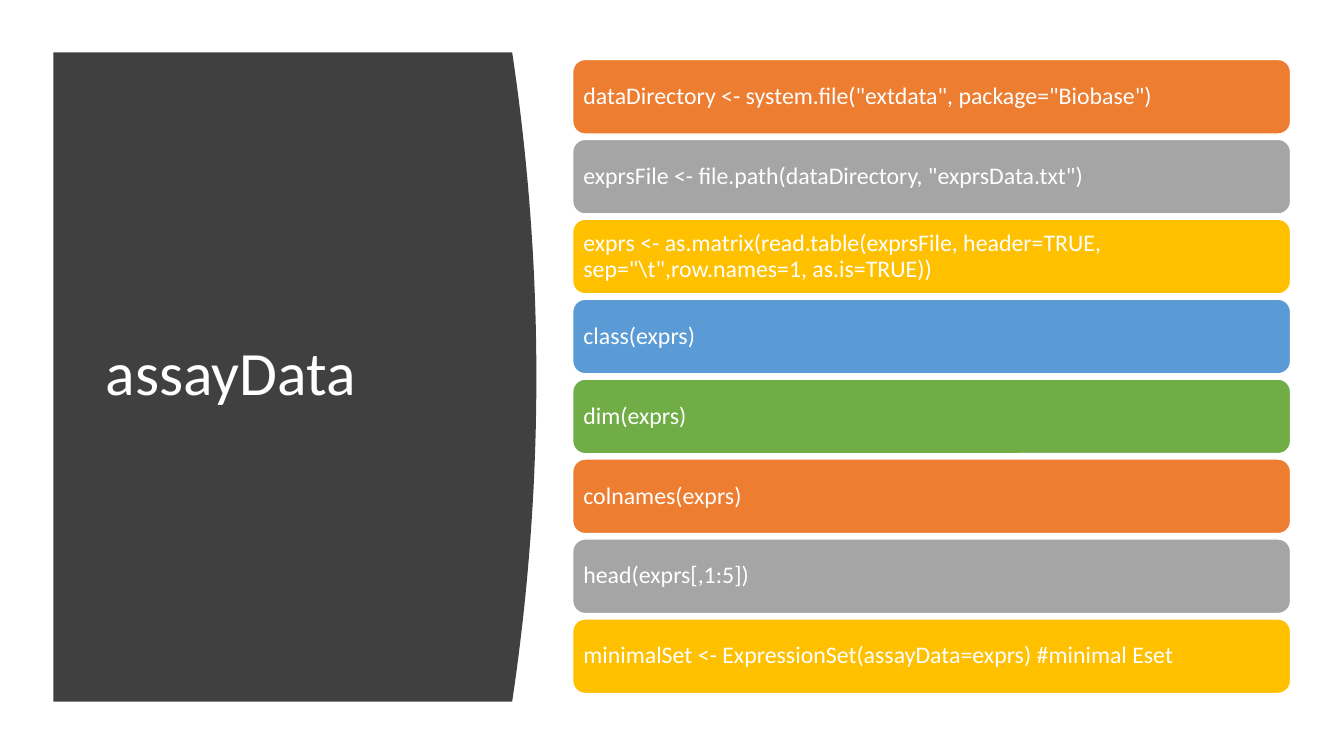
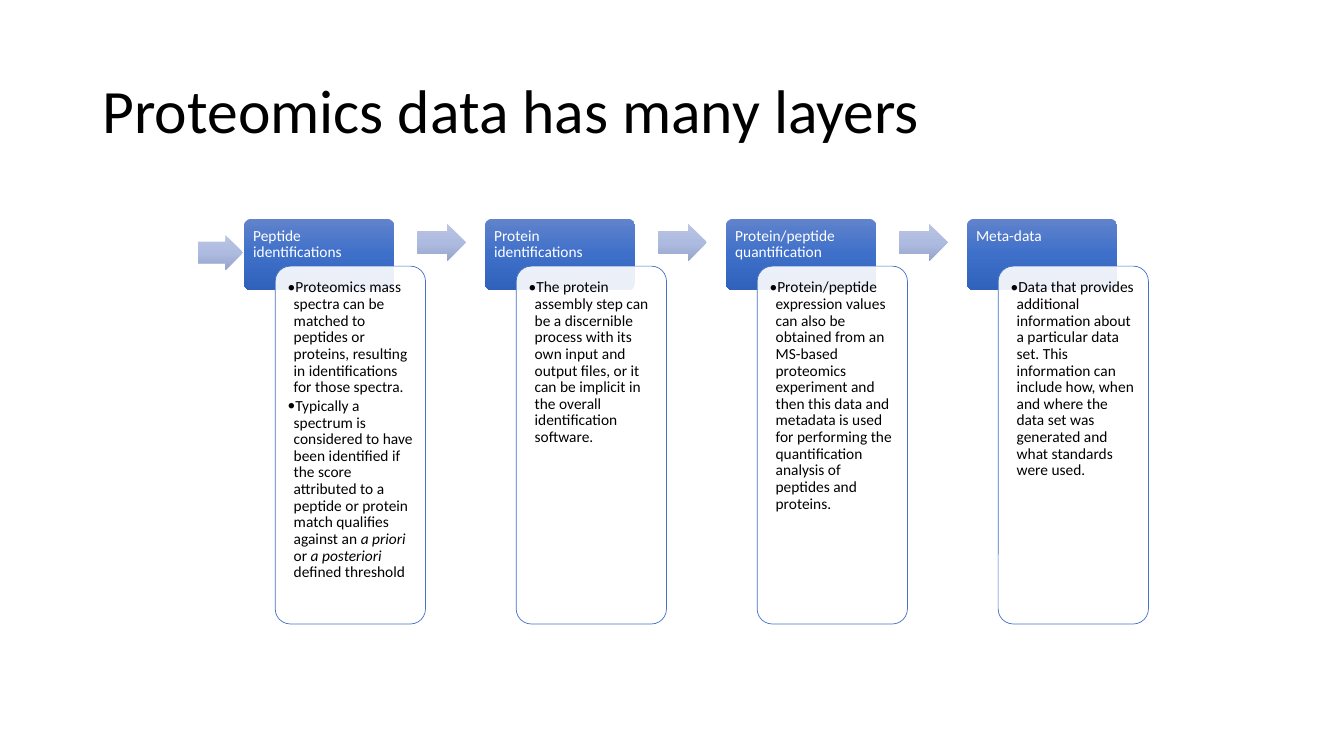
from dataclasses import dataclass
from copy import deepcopy

from lxml.etree import SubElement
from pptx import Presentation
from pptx.dml.color import RGBColor
from pptx.enum.shapes import MSO_SHAPE
from pptx.enum.text import MSO_ANCHOR, PP_ALIGN
from pptx.oxml.ns import qn
from pptx.util import Inches, Pt

# Shared style
FONT = "Calibri"
TITLE_SIZE = 44
WHITE = RGBColor(0xFF, 0xFF, 0xFF)
BLACK = RGBColor(0x00, 0x00, 0x00)
CHARCOAL = RGBColor(0x40, 0x40, 0x40)
ORANGE = RGBColor(0xED, 0x7D, 0x31)
GREY = RGBColor(0xA5, 0xA5, 0xA5)
GOLD = RGBColor(0xFF, 0xC0, 0x00)
SKY = RGBColor(0x5B, 0x9B, 0xD5)
GREEN = RGBColor(0x70, 0xAD, 0x47)
BLUE = RGBColor(0x44, 0x72, 0xC4)
HEADER_SHADES = (RGBColor(0x61, 0x83, 0xCB), RGBColor(0x3E, 0x70, 0xCA),
                 RGBColor(0x30, 0x62, 0xBB))
ARROW_SHADES = (RGBColor(0xBB, 0xC5, 0xE3), RGBColor(0xAE, 0xBB, 0xE0),
                RGBColor(0x98, 0xA4, 0xCB))
BAR_COLORS = (ORANGE, GREY, GOLD, SKY, GREEN)


@dataclass(frozen=True)
class Box:
    left: float
    top: float
    width: float
    height: float

    def emu(self):
        return [Inches(v) for v in (self.left, self.top, self.width, self.height)]


@dataclass(frozen=True)
class Span:
    text: str
    italic: bool = False


@dataclass(frozen=True)
class Layer:
    heading: str
    points: tuple[tuple[Span, ...], ...]


CODE_LINES = (
    'dataDirectory <- system.file("extdata", package="Biobase")',
    'exprsFile <- file.path(dataDirectory, "exprsData.txt")',
    r'exprs <- as.matrix(read.table(exprsFile, header=TRUE, sep="\t",row.names=1, as.is=TRUE))',
    "class(exprs)",
    "dim(exprs)",
    "colnames(exprs)",
    "head(exprs[,1:5])",
    "minimalSet <- ExpressionSet(assayData=exprs) #minimal Eset",
)

LAYERS = (
    Layer("Peptide identifications", (
        (Span("Proteomics mass spectra can be matched to peptides or proteins, "
              "resulting in identifications for those spectra."),),
        (Span("Typically a spectrum is considered to have been identified if the score "
              "attributed to a peptide or protein match qualifies against an "),
         Span("a priori  ", True), Span("or"), Span(" a posteriori", True),
         Span(" defined threshold")),
    )),
    Layer("Protein identifications", (
        (Span("The protein assembly step can be a discernible process with its own input "
              "and output files, or it can be implicit in the overall identification "
              "software."),),
    )),
    Layer("Protein/peptide quantification", (
        (Span("Protein/peptide expression values can also be obtained from an MS-based "
              "proteomics experiment and then this data and metadata is used for "
              "performing the quantification analysis of peptides and proteins."),),
    )),
    Layer("Meta-data", (
        (Span("Data that provides additional information about a particular data set. "
              "This information can include how, when and where the data set was "
              "generated and what standards were used."),),
    )),
)


# Drawing helpers
def set_margins(frame, left: float, top: float, right: float, bottom: float) -> None:
    frame.margin_left, frame.margin_top = Inches(left), Inches(top)
    frame.margin_right, frame.margin_bottom = Inches(right), Inches(bottom)


def write(paragraph, spans: tuple[Span, ...], size: float, color: RGBColor,
          bullet: bool = False) -> None:
    paragraph.alignment = PP_ALIGN.LEFT
    paragraph.line_spacing = 0.9
    if bullet:
        paragraph.space_after = Pt(1.5)
        properties = paragraph._p.get_or_add_pPr()
        properties.set("marL", str(Inches(0.06)))
        properties.set("indent", str(-Inches(0.06)))
        SubElement(properties, qn("a:buFont")).set("typeface", FONT)
        SubElement(properties, qn("a:buChar")).set("char", "•")
    paragraph.font.name = FONT
    paragraph.font.size = Pt(size)
    paragraph.font.color.rgb = color
    for span in spans:
        run = paragraph.add_run()
        run.text = span.text
        if span.italic:
            run.font.italic = True


def add_title(slide, text: str, box: Box, color: RGBColor) -> None:
    frame = slide.shapes.add_textbox(*box.emu()).text_frame
    frame.word_wrap = True
    frame.vertical_anchor = MSO_ANCHOR.MIDDLE
    write(frame.paragraphs[0], (Span(text),), TITLE_SIZE, color)


def add_preset(slide, kind: MSO_SHAPE, box: Box, *adjustments: float):
    shape = slide.shapes.add_shape(kind, *box.emu())
    shape.shadow.inherit = False
    shape.line.fill.background()
    for i, value in enumerate(adjustments):
        shape.adjustments[i] = value
    shape.text_frame.word_wrap = True
    shape.text_frame.vertical_anchor = MSO_ANCHOR.TOP
    return shape


def fill_solid(shape, color: RGBColor) -> None:
    shape.fill.solid()
    shape.fill.fore_color.rgb = color


def fill_gradient(shape, shades: tuple[RGBColor, ...]) -> None:
    """Shade the shape from top to bottom through three colours."""
    shape.fill.gradient()
    shape.fill.gradient_angle = 270
    stop_list = shape._element.spPr.find(qn("a:gradFill")).find(qn("a:gsLst"))
    stop_list.insert(1, deepcopy(stop_list[0]))
    for stop, shade, position in zip(shape.fill.gradient_stops, shades, (0, 0.5, 1)):
        stop.color.rgb = shade
        stop.position = position


def add_arrow(slide, box: Box) -> None:
    arrow = add_preset(slide, MSO_SHAPE.RIGHT_ARROW, box, 0.6, 0.5)
    fill_gradient(arrow, ARROW_SHADES)


def add_curved_panel(slide) -> None:
    left, corner, bulge = 0.53, 5.08, 0.24
    top, bottom, steps = 0.52, 6.96, 40
    edge = []
    for i in range(steps + 1):
        offset = 2 * i / steps - 1
        edge.append((Inches(corner + bulge * (1 - offset ** 2)),
                     Inches(top + (bottom - top) * i / steps)))
    outline = slide.shapes.build_freeform(Inches(left), Inches(top))
    outline.add_line_segments(edge + [(Inches(left), Inches(bottom))], close=True)
    panel = outline.convert_to_shape()
    panel.shadow.inherit = False
    panel.line.fill.background()
    fill_solid(panel, CHARCOAL)


def add_code_bar(slide, code: str, color: RGBColor, top: float) -> None:
    bar = add_preset(slide, MSO_SHAPE.ROUNDED_RECTANGLE, Box(5.68, top, 7.12, 0.74))
    fill_solid(bar, color)
    bar.line.color.rgb = WHITE
    bar.line.width = Pt(1)
    set_margins(bar.text_frame, 0.07, 0.07, 0.07, 0.07)
    bar.text_frame.vertical_anchor = MSO_ANCHOR.MIDDLE
    write(bar.text_frame.paragraphs[0], (Span(code),), 17, WHITE)


def add_layer(slide, layer: Layer, left: float) -> None:
    # Heading
    heading = add_preset(slide, MSO_SHAPE.ROUNDED_RECTANGLE,
                         Box(left, 2.17, 1.49, 0.71), 0.1)
    fill_gradient(heading, HEADER_SHADES)
    set_margins(heading.text_frame, 0.07, 0.07, 0.07, 0.05)
    write(heading.text_frame.paragraphs[0], (Span(layer.heading),), 11, WHITE)

    # Translucent detail card
    card = add_preset(slide, MSO_SHAPE.ROUNDED_RECTANGLE,
                      Box(left + 0.31, 2.64, 1.49, 3.55), 0.1)
    fill_solid(card, WHITE)
    card_color = card._element.spPr.find(qn("a:solidFill"))[0]
    SubElement(card_color, qn("a:alpha")).set("val", "90000")
    card.line.color.rgb = BLUE
    card.line.width = Pt(0.5)
    frame = card.text_frame
    set_margins(frame, 0.08, 0.09, 0.08, 0.09)
    for i, point in enumerate(layer.points):
        paragraph = frame.add_paragraph() if i else frame.paragraphs[0]
        write(paragraph, point, 11, BLACK, bullet=True)


# Slides
def build_assay_slide(slide) -> None:
    add_curved_panel(slide)
    add_title(slide, "assayData", Box(0.95, 1.11, 3.74, 5.24), WHITE)
    first_top, last_top = 0.59, 6.14
    pitch = (last_top - first_top) / (len(CODE_LINES) - 1)
    for i, code in enumerate(CODE_LINES):
        add_code_bar(slide, code, BAR_COLORS[i % len(BAR_COLORS)], first_top + i * pitch)


def build_layers_slide(slide) -> None:
    add_title(slide, "Proteomics data has many layers", Box(0.92, 0.4, 11.5, 1.45), BLACK)
    first_left, pitch = 2.42, 2.39
    for i, layer in enumerate(LAYERS):
        left = first_left + i * pitch
        add_layer(slide, layer, left)
        if i < len(LAYERS) - 1:
            add_arrow(slide, Box(left + 1.72, 2.22, 0.48, 0.37))
    # Arrow leading into the first layer
    add_arrow(slide, Box(1.96, 2.33, 0.45, 0.35))


def main() -> None:
    deck = Presentation()
    deck.slide_width, deck.slide_height = Inches(13.33), Inches(7.5)
    blank = deck.slide_layouts[6]
    for build in (build_assay_slide, build_layers_slide):
        build(deck.slides.add_slide(blank))
    deck.save("out.pptx")


if __name__ == "__main__":
    main()
